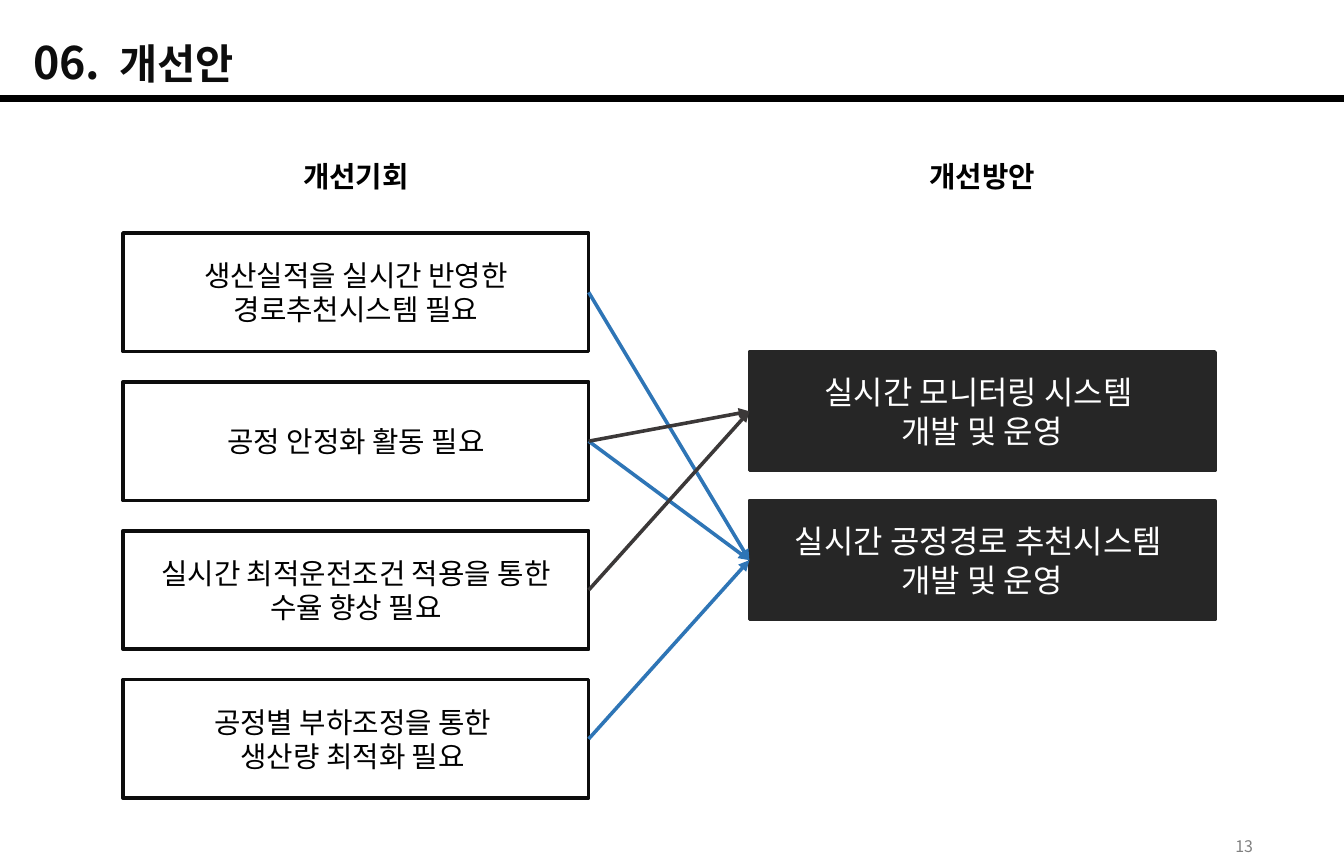
from lxml import etree
from pptx import Presentation
from pptx.dml.color import RGBColor
from pptx.enum.shapes import MSO_CONNECTOR, MSO_SHAPE
from pptx.enum.text import MSO_ANCHOR, PP_ALIGN
from pptx.oxml.ns import qn
from pptx.util import Cm, Pt

STRAIGHT = MSO_CONNECTOR.STRAIGHT
RECTANGLE = MSO_SHAPE.RECTANGLE
TOP, MIDDLE = MSO_ANCHOR.TOP, MSO_ANCHOR.MIDDLE
LEFT, CENTER = PP_ALIGN.LEFT, PP_ALIGN.CENTER
FONT = "Noto Sans CJK KR"
BLACK, INK, DARK, WHITE = "000000", "0D0D0D", "262626", "FFFFFF"
BLUE, GRAY = "2E75B6", "3B3838"
BOX_WIDTH, BOX_HEIGHT, BOX_PITCH = 10.29, 2.62, 3.29


def rgb(value):
    return RGBColor.from_string(value)


def style(shape, size, color, bold=False, align=CENTER, anchor=MIDDLE):
    """Format the only paragraph of a shape, Korean glyphs included."""
    frame = shape.text_frame
    frame.word_wrap = True
    frame.vertical_anchor = anchor
    paragraph = frame.paragraphs[0]
    paragraph.alignment = align
    font = paragraph.font
    font.name, font.size, font.bold = FONT, Pt(size), bold
    font.color.rgb = rgb(color)
    defaults = paragraph._p.pPr.find(qn("a:defRPr"))
    etree.SubElement(defaults, qn("a:ea"), typeface=FONT)


prs = Presentation()
prs.slide_width, prs.slide_height = Cm(29.7), Cm(19.05)
slide = prs.slides.add_slide(prs.slide_layouts[5])
shapes = slide.shapes

# Title and rule
title = shapes.title
title.left, title.top, title.width, title.height = Cm(0.48), Cm(0.64), Cm(14.94), Cm(1.45)
heading = title.text_frame.paragraphs[0]
for part, size in (("06.\t", 28), ("개선안", 26)):
    run = heading.add_run()
    run.text = part
    run.font.size = Pt(size)
tabs = etree.SubElement(heading._p.get_or_add_pPr(), qn("a:tabLst"))
etree.SubElement(tabs, qn("a:tab"), pos=str(Cm(1.9)), algn="l")
style(title, 28, INK, bold=True, align=LEFT, anchor=TOP)

rule = shapes.add_connector(STRAIGHT, 0, Cm(2.18), prs.slide_width, Cm(2.18))
rule.line.color.rgb = rgb(BLACK)
rule.line.width = Pt(4)
etree.SubElement(rule._element.spPr, qn("a:effectLst"))

page_number = shapes.add_textbox(Cm(27.05), Cm(18.36), Cm(1.09), Cm(0.69))
page_number.text_frame.text = "13"
style(page_number, 10, "808080", align=LEFT, anchor=TOP)

# Columns: heading, left, first top, text size, text colour, outline, fill, box texts
columns = (
    ("개선기회", 2.72, 5.15, 18, BLACK, INK, None, (
        "생산실적을 실시간 반영한 경로추천시스템 필요",
        "공정 안정화 활동 필요",
        "실시간 최적운전조건 적용을 통한 수율 향상 필요",
        "공정별 부하조정을 통한 \n생산량 최적화 필요 ",
    )),
    ("개선방안", 16.56, 7.78, 20, WHITE, DARK, DARK, (
        "실시간 모니터링 시스템 \n개발 및 운영",
        "실시간 공정경로 추천시스템 \n개발 및 운영",
    )),
)
column_boxes = []
for name, left, top, size, color, outline, fill, texts in columns:
    label = shapes.add_textbox(Cm(left), Cm(3.38), Cm(BOX_WIDTH), Cm(1.04))
    label.text_frame.text = name
    style(label, 18, BLACK, bold=True)
    boxes = []
    for row, text in enumerate(texts):
        box = shapes.add_shape(RECTANGLE, Cm(left), Cm(top + row * BOX_PITCH),
                               Cm(BOX_WIDTH), Cm(BOX_HEIGHT))
        box.shadow.inherit = False
        if fill:
            box.fill.solid()
            box.fill.fore_color.rgb = rgb(fill)
        else:
            box.fill.background()
        box.line.color.rgb = rgb(outline)
        box.line.width = Pt(2.25)
        box.text_frame.paragraphs[0].text = text
        style(box, size, color)
        boxes.append(box)
    column_boxes.append(boxes)

# Arrows from each opportunity to the solutions that answer it
opportunities, solutions = column_boxes
for source, target, color in ((0, 1, BLUE), (1, 1, BLUE), (1, 0, GRAY),
                              (2, 0, GRAY), (3, 1, BLUE)):
    arrow = shapes.add_connector(STRAIGHT, 0, 0, 0, 0)
    arrow.begin_connect(opportunities[source], 3)
    arrow.end_connect(solutions[target], 1)
    arrow.line.color.rgb = rgb(color)
    arrow.line.width = Pt(2.25)
    etree.SubElement(arrow.line._get_or_add_ln(), qn("a:tailEnd"), type="triangle")
    etree.SubElement(arrow._element.spPr, qn("a:effectLst"))

prs.save("out.pptx")
